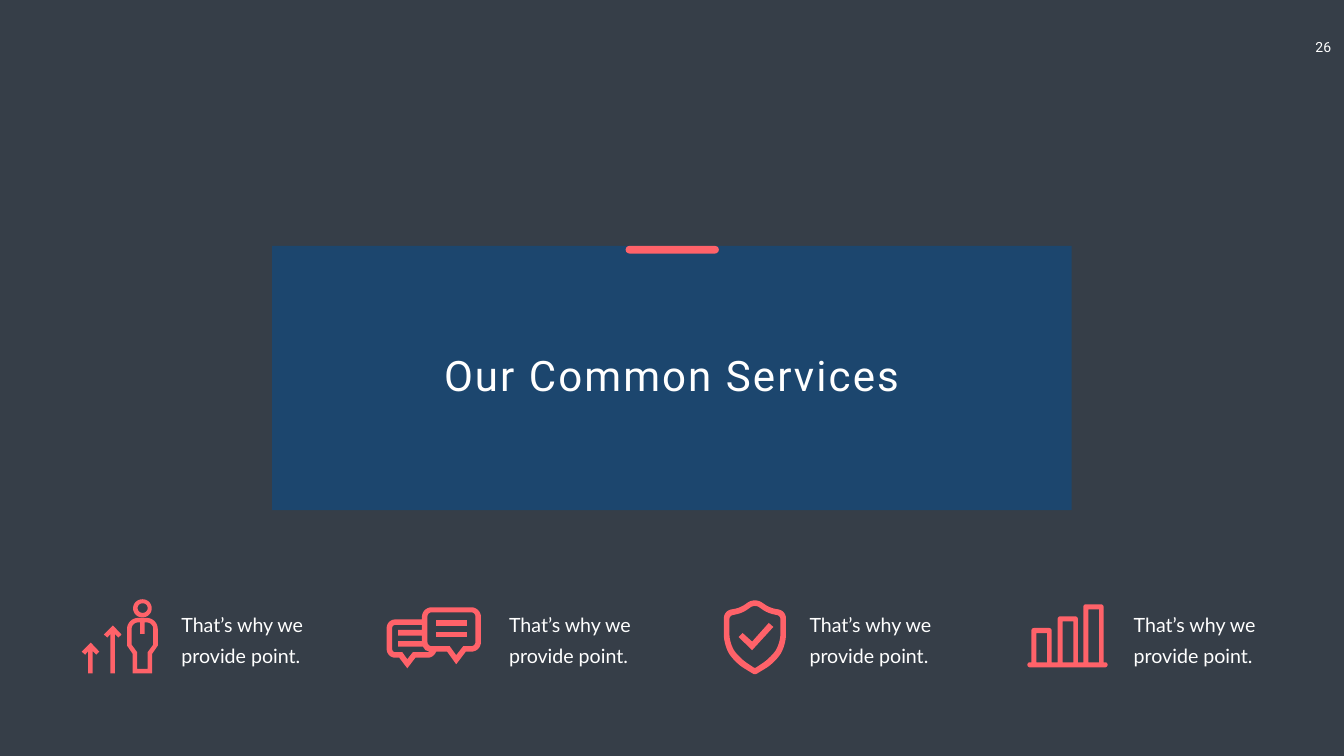
from dataclasses import dataclass
from math import dist

from pptx import Presentation
from pptx.dml.color import RGBColor
from pptx.enum.shapes import MSO_SHAPE
from pptx.enum.text import MSO_AUTO_SIZE, PP_ALIGN
from pptx.util import Inches, Pt


@dataclass(frozen=True)
class Theme:
    background: RGBColor = RGBColor.from_string("363E48")
    panel: RGBColor = RGBColor.from_string("1C466E")
    accent: RGBColor = RGBColor.from_string("FF6269")
    text: RGBColor = RGBColor.from_string("FFFFFF")
    heading_font: str = "Roboto"
    body_font: str = "Lato"
    number_size: int = 20
    title_size: int = 60
    caption_size: int = 28
    caption_spacing: int = 43


theme = Theme()

# The page is a fine grid of 2666 columns by 1500 rows.
COLUMNS, ROWS = 2666, 1500
CELL = Inches(0.01)
CURVE_STEPS = 8


def add_outline(shapes, left, top, contours):
    """Fill closed contours of (x, y) or (x, y, corner radius); inner ones are holes."""
    builder = None
    for contour in contours:
        points = []
        for index, (x, y, *radius) in enumerate(contour):
            if not radius:
                points.append((x, y))
                continue
            ends = []
            for near in (contour[index - 1], contour[(index + 1) % len(contour)]):
                share = radius[0] / dist((x, y), near[:2])
                ends.append((x + share * (near[0] - x), y + share * (near[1] - y)))
            for step in range(CURVE_STEPS + 1):
                t = step / CURVE_STEPS
                start = (1 - t) ** 3 + 1.35 * t * (1 - t) ** 2
                end = t ** 3 + 1.35 * t ** 2 * (1 - t)
                points.append(tuple(
                    start * a + end * b + (1 - start - end) * corner
                    for a, b, corner in zip(*ends, (x, y))))
        points = [(x * CELL, y * CELL) for x, y in points]
        if builder is None:
            builder = shapes.build_freeform(*points[0], scale=1.0)
        else:
            builder.move_to(*points[0])
        builder.add_line_segments(points[1:], close=True)
    outline = builder.convert_to_shape(left * CELL, top * CELL)
    outline.shadow.inherit = False
    outline.fill.solid()
    outline.fill.fore_color.rgb = theme.accent
    outline.line.fill.background()


def add_text(shapes, area, text, font, size, align=PP_ALIGN.CENTER):
    box = shapes.add_textbox(*(length * CELL for length in area))
    frame = box.text_frame
    frame.word_wrap = True
    frame.auto_size = MSO_AUTO_SIZE.SHAPE_TO_FIT_TEXT
    para = frame.paragraphs[0]
    para.alignment = align
    span = para.add_run()
    span.text = text
    span.font.name = font
    span.font.size = Pt(size)
    span.font.color.rgb = theme.text
    return frame, para, span


deck = Presentation()
deck.slide_width, deck.slide_height = COLUMNS * CELL, ROWS * CELL
page = deck.slides.add_slide(deck.slide_layouts[6])
page.background.fill.solid()
page.background.fill.fore_color.rgb = theme.background

# Page number
frame, para, span = add_text(
    page.shapes, (2587, 67, 91, 54), "26", theme.heading_font, theme.number_size)
frame.word_wrap = False
frame.margin_left, frame.margin_right = Inches(0.2), Inches(0.35)
frame.margin_top = frame.margin_bottom = Inches(0.1)

# Title panel with its accent bar
for preset, area, color in (
    (MSO_SHAPE.RECTANGLE, (540, 488, 1586, 524), theme.panel),
    (MSO_SHAPE.ROUNDED_RECTANGLE, (1241, 488, 185, 15), theme.accent),
):
    block = page.shapes.add_shape(preset, *(length * CELL for length in area))
    block.shadow.inherit = False
    block.fill.solid()
    block.fill.fore_color.rgb = color
    block.line.fill.background()
block.adjustments[0] = 0.5

frame, para, span = add_text(
    page.shapes, (793, 688, 1079, 111), "Our Common Services",
    theme.heading_font, theme.title_size)
span.font._element.set("spc", "300")

# Growth icon: a person beside two rising arrows
body = [
    [(90, 37, 22), (151, 37, 22), (151, 92), (140, 108),
     (140, 147), (101, 147), (101, 108), (90, 92)],
    [(142, 90), (131, 105), (131, 138), (110, 138), (110, 105), (99, 90),
     (99, 46, 13), (116, 46), (116, 69), (125, 69), (125, 46), (142, 46, 13)],
]
head = [
    [(102, 0, 18), (139, 0, 18), (139, 36, 18), (102, 36, 18)],
    [(111, 8, 9.5), (131, 8, 9.5), (131, 27, 9.5), (111, 27, 9.5)],
]
growth = [body, head]
for x, y in ((44, 52), (0, 86)):
    growth.append([[
        (x, y + 18), (x + 7, y + 24), (x + 13, y + 17), (x + 13, 147), (x + 22, 147),
        (x + 22, y + 17), (x + 29, y + 24), (x + 35, y + 18), (x + 18, y)]])

# Chat icon: two speech bubbles with text lines
bubbles = [
    [(70, 0, 19), (187, 0, 19), (187, 88, 19), (157, 88), (138, 113), (120, 88),
     (98, 88), (94, 100, 12), (57, 100), (41, 121), (25, 100),
     (0, 100, 17), (0, 24, 17), (70, 24)],
    [(81, 10, 8), (176, 10, 8), (176, 77, 8), (152, 77),
     (138, 95), (125, 77), (81, 77, 8)],
    [(52, 89), (41, 103), (31, 89), (11, 89, 6), (11, 35, 6), (70, 35), (70, 45),
     (23, 45), (23, 56), (70, 56), (70, 67), (23, 67), (23, 78), (72, 78),
     (77, 85), (85, 88), (82, 89)],
]
chat = [bubbles] + [
    [[(97, y), (160, y), (160, y + 11), (97, y + 11)]] for y in (26, 48)]

# Shield icon: each contour is a left half, mirrored between its two tips
check = [[(56, 82), (37, 65), (29, 73), (56, 99), (98, 53), (89, 45)]]
shield = []
for half in (
    [(61.5, -5, 16), (32, 15, 10), (0, 21, 14), (0, 90, 20), (22, 124, 20), (61.5, 148, 4)],
    [(61.5, 8, 10), (37, 25, 10), (11, 31, 6), (11, 86, 18), (30, 114, 18), (61.5, 135, 3)],
):
    shield.append(half + [(123 - x, y, radius) for x, y, radius in half[-2:0:-1]])
protection = [check, shield]

# Chart icon: three hollow bars on a base line
skyline, hollows = [(0, 125, 5), (0, 115, 5)], []
for x, y in ((8, 47), (60, 24), (111, 0)):
    skyline += [(x, 115), (x, y, 5), (x + 40, y, 5), (x + 40, 115)]
    hollows.append([(x + 10, y + 10), (x + 31, y + 10), (x + 31, 115), (x + 10, 115)])
skyline += [(159, 115, 5), (159, 125, 5)]
bars = [[skyline, *hollows]]

# Services: icon, icon left, icon top, caption left
for icon, left, top, caption_left in (
    (growth, 162, 1189, 350),
    (chat, 767, 1205, 1000),
    (protection, 1436, 1191, 1596),
    (bars, 2038, 1199, 2239),
):
    service = page.shapes.add_group_shape()
    for contours in icon:
        add_outline(service.shapes, left, top, contours)
    frame, para, span = add_text(
        service.shapes, (caption_left, 1199, 282, 125), "That’s why we provide point.",
        theme.body_font, theme.caption_size, PP_ALIGN.LEFT)
    para.line_spacing = Pt(theme.caption_spacing)

deck.save("out.pptx")
